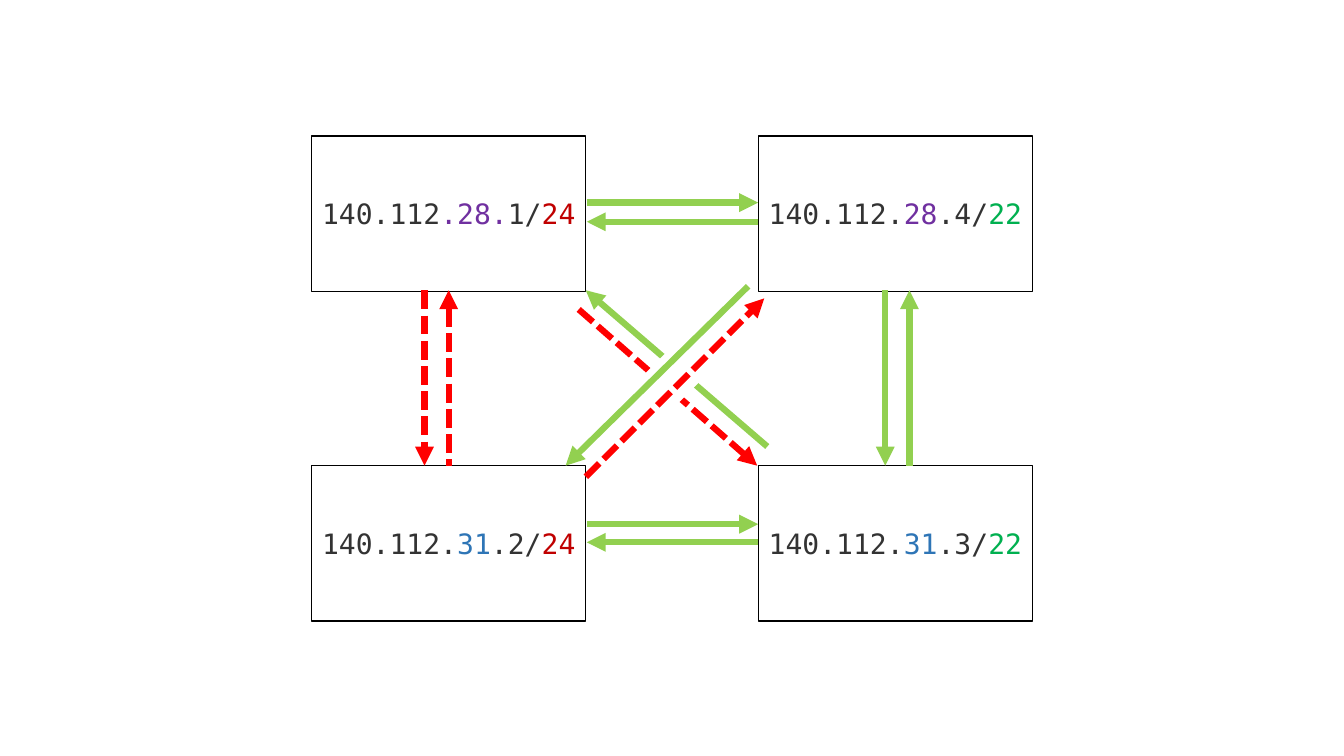
"""Build a slide showing which hosts reach each other across subnet masks."""
from dataclasses import dataclass

from lxml.etree import SubElement
from pptx import Presentation
from pptx.dml.color import RGBColor
from pptx.enum.dml import MSO_LINE
from pptx.enum.shapes import MSO_CONNECTOR, MSO_SHAPE
from pptx.enum.text import MSO_ANCHOR, PP_ALIGN
from pptx.oxml.ns import qn
from pptx.shapes.autoshape import Shape
from pptx.slide import Slide
from pptx.util import Emu, Pt

EMU_PER_PX = 9144


@dataclass(frozen=True)
class Theme:
    font: str = "DejaVu Sans Mono"
    text_size: int = 20
    border_width: float = 1
    arrow_width: float = 4.5
    text: str = "333333"
    paper: str = "FFFFFF"
    border: str = "000000"
    subnet_28: str = "7030A0"
    subnet_31: str = "2E75B6"
    mask_24: str = "C00000"
    mask_22: str = "00B050"
    reachable: str = "92D050"
    blocked: str = "FF0000"


THEME = Theme()


@dataclass(frozen=True)
class Span:
    text: str
    color: str = THEME.text


@dataclass(frozen=True)
class Host:
    left: int
    top: int
    spans: tuple[Span, ...]


@dataclass(frozen=True)
class Arrow:
    start: tuple[int, int]
    end: tuple[int, int]
    reachable: bool = True
    points_back: bool = False


BOX_WIDTH, BOX_HEIGHT = 272, 154
LEFT, RIGHT = 309, 752
TOP, BOTTOM = 135, 462
INNER_LEFT, INNER_TOP = 582, 288

MASK_24 = Span("24", THEME.mask_24)
MASK_22 = Span("22", THEME.mask_22)
SUBNET_28 = Span("28", THEME.subnet_28)
SUBNET_31 = Span("31", THEME.subnet_31)
NETWORK = Span("140.112.")

HOSTS = (
    Host(LEFT, TOP, (Span("140.112"), Span(".28.", THEME.subnet_28), Span("1/"), MASK_24)),
    Host(RIGHT, BOTTOM, (NETWORK, SUBNET_31, Span(".3/"), MASK_22)),
    Host(LEFT, BOTTOM, (NETWORK, SUBNET_31, Span(".2/"), MASK_24)),
    Host(RIGHT, TOP, (NETWORK, SUBNET_28, Span(".4/"), MASK_22)),
)


def across(y: int, points_back: bool) -> Arrow:
    """Describe an arrow between the two hosts of one row."""
    return Arrow((INNER_LEFT, y), (RIGHT, y), points_back=points_back)


def down(x: int, reachable: bool, points_back: bool) -> Arrow:
    """Describe an arrow between the two hosts of one column."""
    return Arrow((x, INNER_TOP), (x, BOTTOM), reachable, points_back)


LOWER_ARROWS = (
    across(201, False),
    across(220, True),
    across(520, False),
    across(538, True),
    down(878, True, False),
    down(902, True, True),
    down(421, False, False),
    down(445, False, True),
    Arrow((581, 288), (761, 443), points_back=True),
    Arrow((574, 307), (751, 462), reachable=False),
)
UPPER_ARROWS = (
    Arrow((561, 462), (742, 284), points_back=True),
    Arrow((581, 473), (758, 296), reachable=False),
)


def px(length: int) -> Emu:
    """Turn a length in px into EMU."""
    return Emu(length * EMU_PER_PX)


def rgb(color: str) -> RGBColor:
    """Turn a hexadecimal colour into an RGBColor."""
    return RGBColor.from_string(color)


def add_box(page: Slide, left: int, top: int, width: int, height: int) -> Shape:
    """Add a plain rectangle in the paper colour."""
    box = page.shapes.add_shape(
        MSO_SHAPE.RECTANGLE, px(left), px(top), px(width), px(height))
    box.shadow.inherit = False
    box.fill.solid()
    box.fill.fore_color.rgb = rgb(THEME.paper)
    return box


def add_host(page: Slide, host: Host) -> None:
    """Add a bordered box with the address of a host."""
    box = add_box(page, host.left, host.top, BOX_WIDTH, BOX_HEIGHT)
    box.line.color.rgb = rgb(THEME.border)
    box.line.width = Pt(THEME.border_width)
    box.text_frame.vertical_anchor = MSO_ANCHOR.MIDDLE
    para = box.text_frame.paragraphs[0]
    para.alignment = PP_ALIGN.CENTER
    para.font.name = THEME.font
    para.font.size = Pt(THEME.text_size)
    for span in host.spans:
        run = para.add_run()
        run.text = span.text
        run.font.color.rgb = rgb(span.color)


def add_arrow(page: Slide, arrow: Arrow) -> None:
    """Add a solid arrow for a reachable host or a dashed one for a blocked host."""
    connector = page.shapes.add_connector(
        MSO_CONNECTOR.STRAIGHT, *map(px, arrow.start + arrow.end))
    line = connector.line
    line.color.rgb = rgb(THEME.reachable if arrow.reachable else THEME.blocked)
    line.width = Pt(THEME.arrow_width)
    if not arrow.reachable:
        line.dash_style = MSO_LINE.SQUARE_DOT
    properties = connector.element.find(qn("p:spPr"))
    tip = "a:headEnd" if arrow.points_back else "a:tailEnd"
    SubElement(properties.find(qn("a:ln")), qn(tip), type="triangle")
    SubElement(properties, qn("a:effectLst"))


def add_crossing_gap(page: Slide) -> None:
    """Interrupt the lower diagonal arrows where the upper ones cross."""
    gap = add_box(page, 599, 358, 125, 44)
    gap.line.fill.background()
    gap.rotation = 315


def main() -> None:
    """Build the deck and save it."""
    deck = Presentation()
    deck.slide_width, deck.slide_height = px(1333), px(750)
    page = deck.slides.add_slide(deck.slide_layouts.get_by_name("Blank"))
    for host in HOSTS:
        add_host(page, host)
    for arrow in LOWER_ARROWS:
        add_arrow(page, arrow)
    add_crossing_gap(page)
    for arrow in UPPER_ARROWS:
        add_arrow(page, arrow)
    deck.save("out.pptx")


if __name__ == "__main__":
    main()
